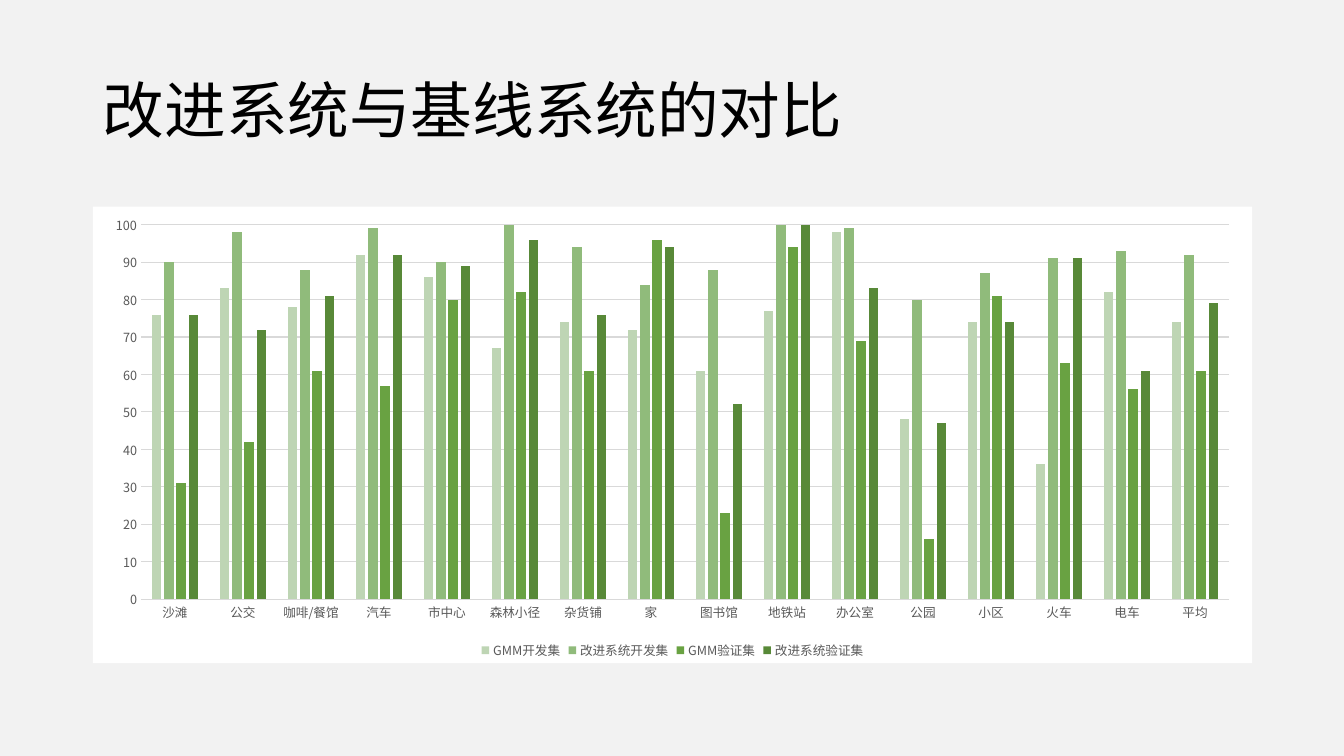
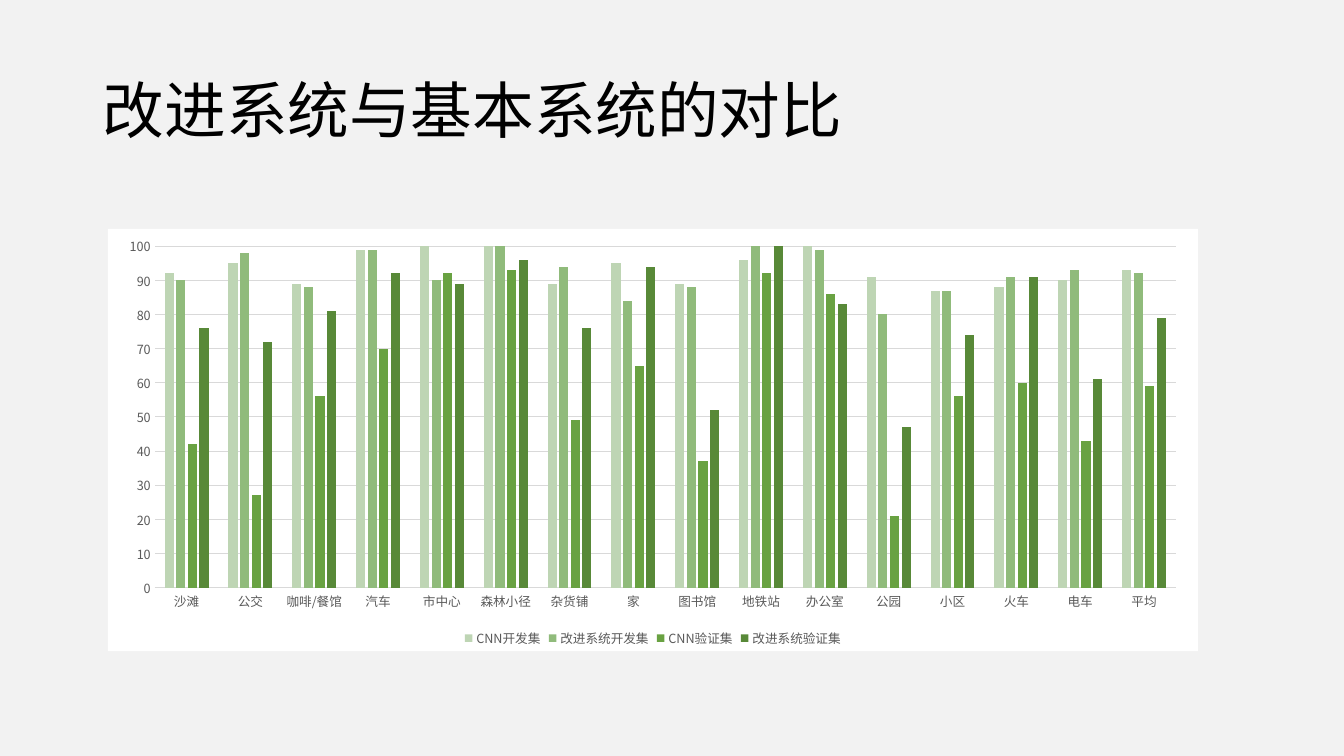
"""Build two slides comparing the improved system with its baselines."""
from lxml import etree
from pptx import Presentation
from pptx.chart.data import CategoryChartData
from pptx.dml.color import RGBColor
from pptx.enum.chart import XL_CHART_TYPE, XL_LEGEND_POSITION, XL_TICK_MARK
from pptx.enum.text import MSO_ANCHOR, PP_ALIGN
from pptx.oxml import parse_xml
from pptx.oxml.ns import nsdecls, qn
from pptx.util import Inches, Pt

COLUMNS = XL_CHART_TYPE.COLUMN_CLUSTERED
BOTTOM = XL_LEGEND_POSITION.BOTTOM
NO_TICK = XL_TICK_MARK.NONE
MIDDLE = MSO_ANCHOR.MIDDLE
LEFT = PP_ALIGN.LEFT

FONT = "Noto Sans CJK SC"
BLACK = RGBColor(0x00, 0x00, 0x00)
LABEL_GREY = RGBColor(0x59, 0x59, 0x59)
GRID_GREY = RGBColor(0xD9, 0xD9, 0xD9)
PAGE_GREY = RGBColor(0xF2, 0xF2, 0xF2)
GREENS = [
    RGBColor(0xBE, 0xD5, 0xB4),
    RGBColor(0x90, 0xBB, 0x7B),
    RGBColor(0x69, 0xA2, 0x42),
    RGBColor(0x58, 0x89, 0x38),
]

SCENES = ["沙滩", "公交", "咖啡/餐馆", "汽车", "市中心", "森林小径", "杂货铺", "家",
          "图书馆", "地铁站", "办公室", "公园", "小区", "火车", "电车", "平均"]
IMPROVED_DEV = [90, 98, 88, 99, 90, 100, 94, 84, 88, 100, 99, 80, 87, 91, 93, 92]
IMPROVED_VAL = [76, 72, 81, 92, 89, 96, 76, 94, 52, 100, 83, 47, 74, 91, 61, 79]
COMPARISONS = [
    {
        "title": "改进系统与基线系统的对比",
        "baseline": "GMM",
        "dev": [76, 83, 78, 92, 86, 67, 74, 72, 61, 77, 98, 48, 74, 36, 82, 74],
        "val": [31, 42, 61, 57, 80, 82, 61, 96, 23, 94, 69, 16, 81, 63, 56, 61],
        "box": (0.92, 2.05, 11.5, 4.53),
    },
    {
        "title": "改进系统与基本系统的对比",
        "baseline": "CNN",
        "dev": [92, 95, 89, 99, 100, 100, 89, 95, 89, 96, 100, 91, 87, 88, 90, 93],
        "val": [42, 27, 56, 70, 92, 93, 49, 65, 37, 92, 86, 21, 56, 60, 43, 59],
        "box": (1.07, 2.27, 10.81, 4.19),
    },
]
TITLE_BOX = {"left": Inches(0.92), "top": Inches(0.4),
             "width": Inches(11.5), "height": Inches(1.45)}


def set_font(font, size, color):
    font.name = FONT
    font.size = Pt(size)
    font.bold = False
    font.color.rgb = color


def add_east_asian_font(element):
    for latin in list(element.iter(qn("a:latin"))):
        east_asian = etree.Element(qn("a:ea"), typeface=FONT)
        latin.addnext(east_asian)


prs = Presentation()
prs.slide_width = Inches(13.33)
prs.slide_height = Inches(7.5)
page_fill = prs.slide_master.background.fill
page_fill.solid()
page_fill.fore_color.rgb = PAGE_GREY
title_only = prs.slide_layouts[5]

for comparison in COMPARISONS:
    slide = prs.slides.add_slide(title_only)

    title = slide.shapes.title
    for name, value in TITLE_BOX.items():
        setattr(title, name, value)
    title.text_frame.text = comparison["title"]
    title.text_frame.vertical_anchor = MIDDLE
    heading = title.text_frame.paragraphs[0]
    heading.alignment = LEFT
    heading.line_spacing = 0.9
    set_font(heading.runs[0].font, 44, BLACK)
    add_east_asian_font(title.element)

    scores = CategoryChartData()
    scores.categories = SCENES
    baseline = comparison["baseline"]
    scores.add_series(f"{baseline}开发集", comparison["dev"])
    scores.add_series("改进系统开发集", IMPROVED_DEV)
    scores.add_series(f"{baseline}验证集", comparison["val"])
    scores.add_series("改进系统验证集", IMPROVED_VAL)
    box = [Inches(length) for length in comparison["box"]]
    chart = slide.shapes.add_chart(COLUMNS, *box, scores).chart
    chart.has_title = False
    set_font(chart.font, 10, BLACK)

    chart.has_legend = True
    chart.legend.position = BOTTOM
    chart.legend.include_in_layout = False
    set_font(chart.legend.font, 9, LABEL_GREY)

    scene_axis, score_axis = chart.category_axis, chart.value_axis
    for axis in (scene_axis, score_axis):
        axis.major_tick_mark = NO_TICK
        axis.minor_tick_mark = NO_TICK
        set_font(axis.tick_labels.font, 9, LABEL_GREY)
    score_axis.minimum_scale = 0
    score_axis.maximum_scale = 100
    score_axis.major_unit = 10
    score_axis.format.line.fill.background()
    for line in (scene_axis.format.line, score_axis.major_gridlines.format.line):
        line.color.rgb = GRID_GREY
        line.width = Pt(0.75)

    bars = chart.plots[0]
    bars.gap_width = 219
    bars.overlap = -27
    bars.vary_by_categories = False
    for series, green in zip(bars.series, GREENS):
        series.format.fill.solid()
        series.format.fill.fore_color.rgb = green

    panel = parse_xml(
        f'<c:spPr {nsdecls("c", "a")}><a:solidFill><a:srgbClr val="FFFFFF"/>'
        "</a:solidFill><a:ln><a:noFill/></a:ln></c:spPr>"
    )
    chart.element.find(qn("c:txPr")).addprevious(panel)
    add_east_asian_font(chart.element)

prs.save("out.pptx")
